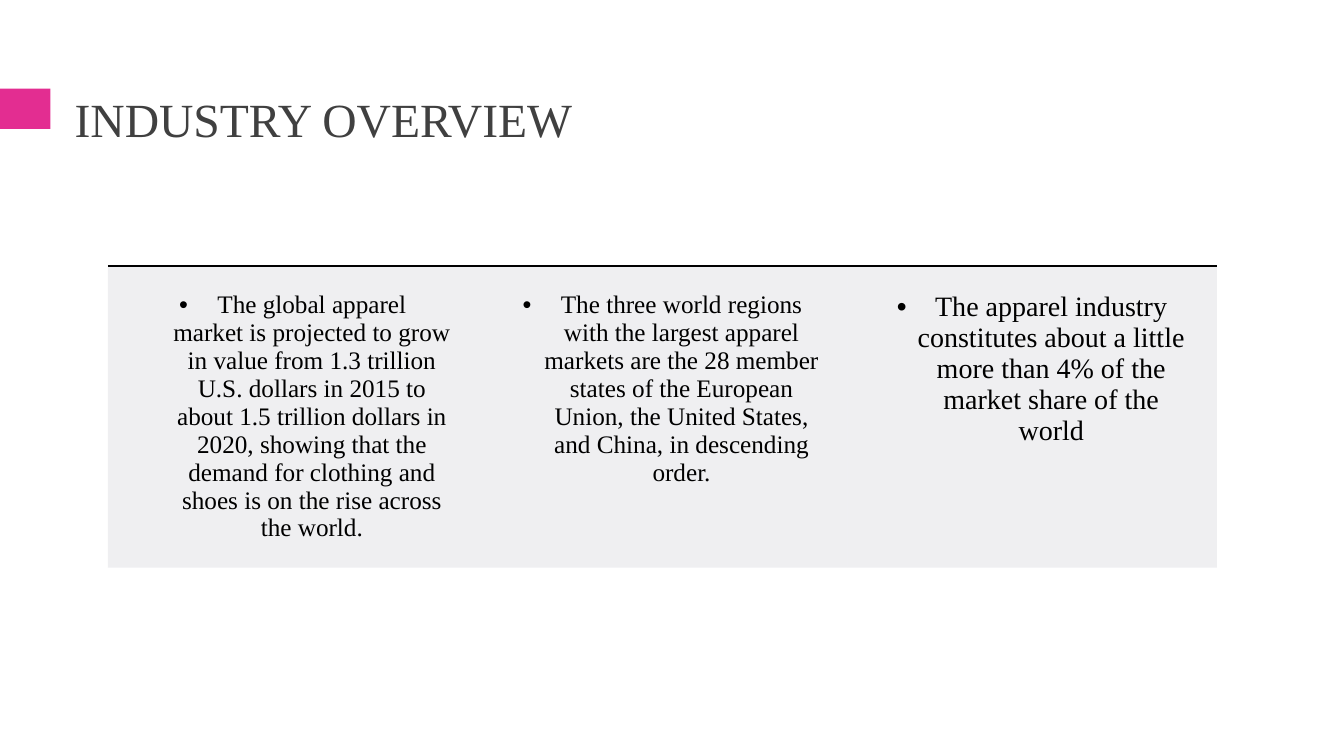
from dataclasses import dataclass

from lxml.etree import SubElement
from pptx import Presentation
from pptx.dml.color import RGBColor
from pptx.enum.shapes import MSO_SHAPE
from pptx.enum.text import MSO_ANCHOR, PP_ALIGN
from pptx.oxml import parse_xml
from pptx.oxml.ns import nsdecls, qn
from pptx.slide import Slide
from pptx.table import _Cell
from pptx.text.text import TextFrame
from pptx.util import Inches, Pt


@dataclass(frozen=True)
class Theme:
    font: str = "Times New Roman"
    accent: str = "E32D91"
    title: str = "404040"
    ink: str = "000000"
    panel: str = "B1B1BD"
    panel_alpha: int = 20
    title_size: int = 34
    body_size: int = 18
    large_size: int = 20


@dataclass(frozen=True)
class Fact:
    text: str
    size: int


THEME = Theme()
NO_TABLE_STYLE = "{2D5ABB26-0587-4C30-8999-92F81FD0307C}"
TABLE_WIDTH = 11
ROW_HEIGHTS = (0.99, 2.98, 0.82)
CELL_INSET = Inches(0.25)
BULLET_INDENT = Inches(0.38)

FACTS = (
    Fact(
        "The\u00a0global apparel market\u00a0is projected to grow in value from "
        "1.3 trillion U.S. dollars in 2015 to about 1.5 trillion dollars in 2020, "
        "showing that the demand for clothing and shoes is on the rise across the world.",
        THEME.body_size,
    ),
    Fact(
        "The three world regions with the largest apparel markets\u00a0are the 28 member "
        "states of the European Union, the United States, and China, in descending order.",
        THEME.body_size,
    ),
    Fact(
        "The apparel industry constitutes about a little more than 4% of the market "
        "share of the world",
        THEME.large_size,
    ),
)


def write_text(tf: TextFrame, text: str, *, size: int, color: str,
               align: PP_ALIGN = PP_ALIGN.LEFT, bullet: bool = False) -> None:
    p = tf.paragraphs[0]
    p.alignment = align
    r = p.add_run()
    r.text = text
    r.font.name = THEME.font
    r.font.size = Pt(size)
    r.font.color.rgb = RGBColor.from_string(color)
    if bullet:
        pPr = p._p.get_or_add_pPr()
        pPr.set("marL", str(BULLET_INDENT))
        pPr.set("indent", str(-BULLET_INDENT))
        SubElement(pPr, qn("a:buFont"), typeface="Arial")
        SubElement(pPr, qn("a:buChar"), char="•")


def add_title(s: Slide, text: str) -> None:
    sp = s.shapes.title
    sp.left, sp.top, sp.width, sp.height = map(Inches, (0.64, 0.77, 12.06, 0.81))
    sp.text_frame.vertical_anchor = MSO_ANCHOR.MIDDLE
    write_text(sp.text_frame, text, size=THEME.title_size, color=THEME.title)


def add_accent(s: Slide) -> None:
    sp = s.shapes.add_shape(MSO_SHAPE.RECTANGLE, 0, Inches(0.88), Inches(0.5), Inches(0.4))
    sp.shadow.inherit = False
    sp.fill.solid()
    sp.fill.fore_color.rgb = RGBColor.from_string(THEME.accent)
    sp.line.fill.background()


def add_bottom_rule(cell: _Cell) -> None:
    ln = parse_xml(
        f'<a:lnB {nsdecls("a")} w="{Pt(1)}"><a:solidFill>'
        f'<a:srgbClr val="{THEME.ink}"/></a:solidFill></a:lnB>'
    )
    cell._tc.get_or_add_tcPr().insert(0, ln)


def fill_fact(cell: _Cell, fact: Fact) -> None:
    cell.margin_left = cell.margin_right = CELL_INSET
    cell.margin_top = cell.margin_bottom = CELL_INSET
    cell.fill.solid()
    cell.fill.fore_color.rgb = RGBColor.from_string(THEME.panel)
    color = cell._tc.tcPr.find(".//" + qn("a:srgbClr"))
    SubElement(color, qn("a:alpha"), val=str(THEME.panel_alpha * 1000))
    write_text(cell.text_frame, fact.text, size=fact.size, color=THEME.ink,
               align=PP_ALIGN.CENTER, bullet=True)


def add_facts(s: Slide, facts: tuple[Fact, ...]) -> None:
    frame = s.shapes.add_table(len(ROW_HEIGHTS), len(facts), Inches(1.07), Inches(1.65),
                               Inches(TABLE_WIDTH), Inches(sum(ROW_HEIGHTS)))
    table = frame.table
    table.first_row = table.horz_banding = False
    table._tbl.tblPr.find(qn("a:tableStyleId")).text = NO_TABLE_STYLE
    for row, height in zip(table.rows, ROW_HEIGHTS):
        row.height = Inches(height)
    for i, fact in enumerate(facts):
        table.columns[i].width = Inches(TABLE_WIDTH / len(facts))
        head, body, foot = (table.cell(j, i) for j in range(len(ROW_HEIGHTS)))
        head.fill.background()
        foot.fill.background()
        add_bottom_rule(head)
        fill_fact(body, fact)


prs = Presentation()
prs.slide_width, prs.slide_height = Inches(13.33), Inches(7.5)
s = prs.slides.add_slide(prs.slide_layouts[5])
add_accent(s)
add_title(s, "INDUSTRY OVERVIEW")
add_facts(s, FACTS)
prs.save("out.pptx")
